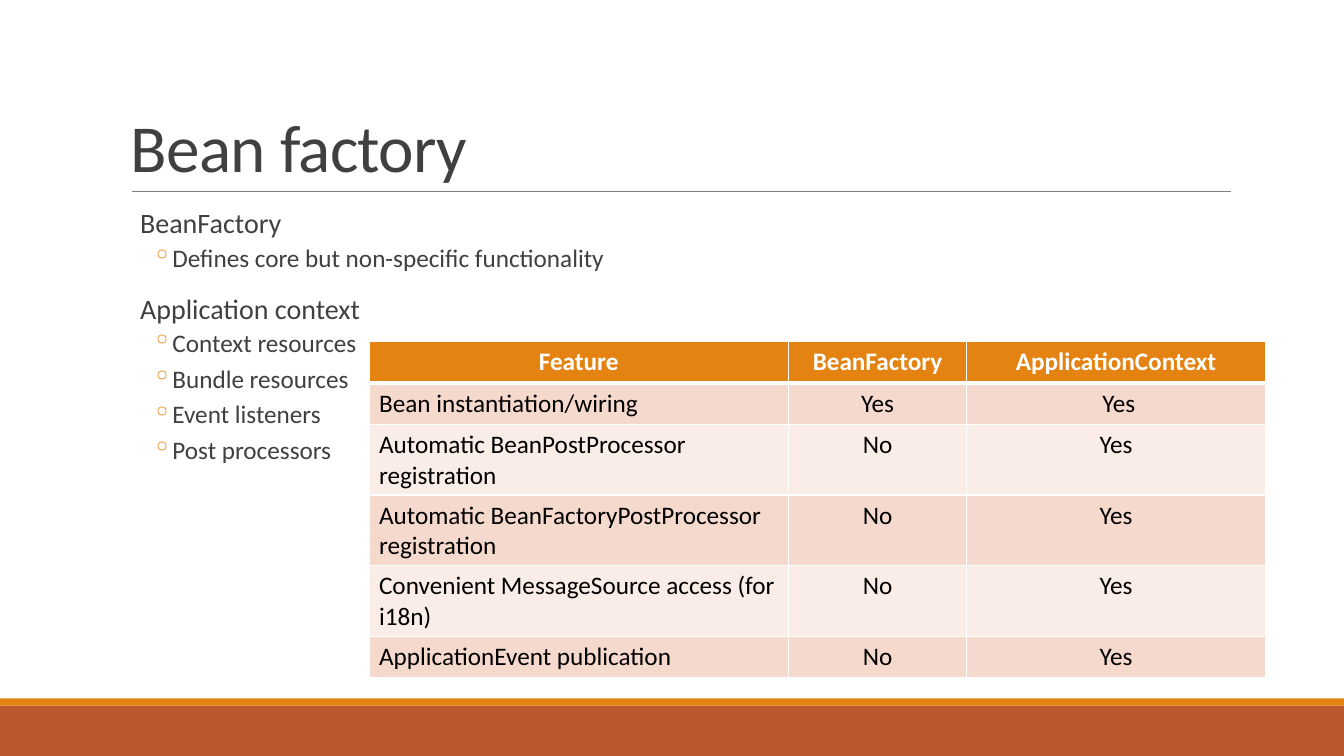
from dataclasses import dataclass

from lxml import etree
from pptx import Presentation
from pptx.dml.color import RGBColor
from pptx.enum.shapes import MSO_CONNECTOR, MSO_SHAPE
from pptx.enum.text import MSO_ANCHOR, PP_ALIGN
from pptx.oxml.ns import qn
from pptx.util import Inches, Pt

LINE = MSO_CONNECTOR.STRAIGHT
RECT = MSO_SHAPE.RECTANGLE
TOP = MSO_ANCHOR.TOP
BOTTOM = MSO_ANCHOR.BOTTOM
LEFT = PP_ALIGN.LEFT
CENTER = PP_ALIGN.CENTER

TOPICS = [
    ("BeanFactory", ["Defines core but non-specific functionality"]),
    ("Application context", ["Context resources", "Bundle resources",
                             "Event listeners", "Post processors"]),
]
FEATURES = [
    ("Feature", "BeanFactory", "ApplicationContext"),
    ("Bean instantiation/wiring", "Yes", " Yes"),
    ("Automatic BeanPostProcessor registration", "No", "Yes"),
    ("Automatic BeanFactoryPostProcessor registration", "No", "Yes"),
    ("Convenient MessageSource access (for i18n)", "No", "Yes"),
    ("ApplicationEvent publication", "No", "Yes"),
]


@dataclass
class Theme:
    font: str = "Calibri"
    title: int = 48
    topic: int = 20
    body: int = 18
    ink: str = "404040"
    black: str = "000000"
    white: str = "FFFFFF"
    rule: str = "808080"
    rust: str = "BD582C"
    orange: str = "E48312"
    bands: tuple = ("FAEDE7", "F5D9CC")


class Deck:
    def __init__(self, theme, slide):
        self.theme = theme
        self.slide = slide

    def style(self, para, size, color, bold=False):
        font = para.font
        font.name = self.theme.font
        font.size = Pt(size)
        font.bold = bold
        font.color.rgb = RGBColor.from_string(color)

    def bar(self, top, height, color):
        shape = self.slide.shapes.add_shape(
            RECT, 0, Inches(top), Inches(13.33), Inches(height))
        shape.shadow.inherit = False
        shape.fill.solid()
        shape.fill.fore_color.rgb = RGBColor.from_string(color)
        shape.line.fill.background()

    def rule(self, left, right, top):
        line = self.slide.shapes.add_connector(
            LINE, Inches(left), Inches(top), Inches(right), Inches(top))
        line.line.color.rgb = RGBColor.from_string(self.theme.rule)
        line.line.width = Pt(0.5)
        etree.SubElement(line._element.spPr, qn("a:effectLst"))

    def frame(self, left, top, width, height, inset, anchor):
        box = self.slide.shapes.add_textbox(
            Inches(left), Inches(top), Inches(width), Inches(height))
        frame = box.text_frame
        frame.word_wrap = True
        frame.vertical_anchor = anchor
        frame.margin_left = frame.margin_right = Inches(inset)
        return frame

    def title(self, text):
        para = self.frame(1.2, 0.31, 11, 1.59, 0.1, BOTTOM).paragraphs[0]
        para.text = text
        para.line_spacing = 0.85
        self.style(para, self.theme.title, self.theme.ink)
        para._p.pPr.find(qn("a:defRPr")).set("spc", "-50")

    def bullet(self, para):
        props = para._p.get_or_add_pPr()
        props.set("marL", str(Inches(0.42)))
        props.set("indent", str(Inches(-0.2)))
        color = etree.SubElement(props, qn("a:buClr"))
        etree.SubElement(color, qn("a:srgbClr"), val=self.theme.orange)
        etree.SubElement(props, qn("a:buChar"), char="◦")

    def topics(self, topics):
        frame = self.frame(1.29, 2.03, 11, 4.4, 0, TOP)
        para = frame.paragraphs[0]
        for index, (topic, points) in enumerate(topics):
            if index:
                para = frame.add_paragraph()
            para.text = topic
            para.line_spacing = 0.9
            para.space_before, para.space_after = Pt(12), Pt(2)
            para._p.get_or_add_pPr().set("marL", str(Inches(0.1)))
            self.style(para, self.theme.topic, self.theme.ink)
            for point in points:
                para = frame.add_paragraph()
                para.text = point
                para.level = 1
                para.line_spacing = 0.9
                para.space_before, para.space_after = Pt(2), Pt(4)
                self.bullet(para)
                self.style(para, self.theme.body, self.theme.ink)

    def border(self, cell, top, bottom):
        props = cell._tc.get_or_add_tcPr()
        sides = {"a:lnL": 1, "a:lnR": 1, "a:lnT": top, "a:lnB": bottom}
        for side, width in sides.items():
            line = etree.SubElement(props, qn(side), w=str(Pt(width)))
            fill = etree.SubElement(line, qn("a:solidFill"))
            etree.SubElement(fill, qn("a:srgbClr"), val=self.theme.white)

    def table(self, rows, widths, left, top, height):
        theme = self.theme
        table = self.slide.shapes.add_table(
            len(rows), len(widths), Inches(left), Inches(top),
            Inches(sum(widths)), Inches(height * len(rows))).table
        for column, width in zip(table.columns, widths):
            column.width = Inches(width)
        for r, row in enumerate(rows):
            table.rows[r].height = Inches(height)
            head = r == 0
            color = theme.orange if head else theme.bands[r % 2]
            for c, text in enumerate(row):
                cell = table.cell(r, c)
                self.border(cell, 3 if r == 1 else 1, 3 if head else 1)
                cell.fill.solid()
                cell.fill.fore_color.rgb = RGBColor.from_string(color)
                para = cell.text_frame.paragraphs[0]
                para.text = text
                para.alignment = CENTER if head or c else LEFT
                ink = theme.white if head else theme.black
                self.style(para, theme.body, ink, head)


def main():
    show = Presentation()
    show.slide_width, show.slide_height = Inches(13.33), Inches(7.5)
    theme = Theme()
    deck = Deck(theme, show.slides.add_slide(show.slide_layouts[6]))
    deck.bar(7, 0.5, theme.rust)
    deck.bar(6.93, 0.07, theme.orange)
    deck.rule(1.31, 12.21, 1.9)
    deck.title("Bean factory")
    deck.topics(TOPICS)
    deck.table(FEATURES, (4.16, 1.77, 2.96), 3.66, 3.39, 0.41)
    show.save("out.pptx")


if __name__ == "__main__":
    main()
